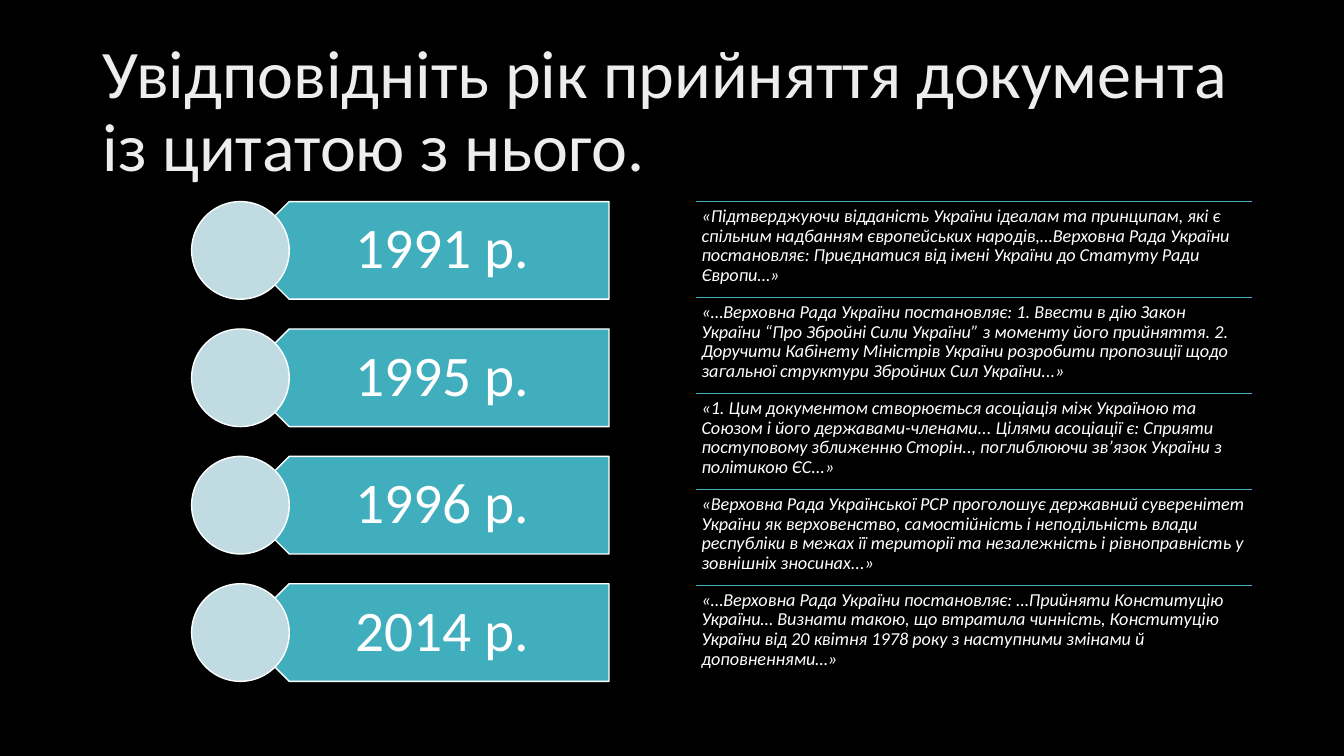
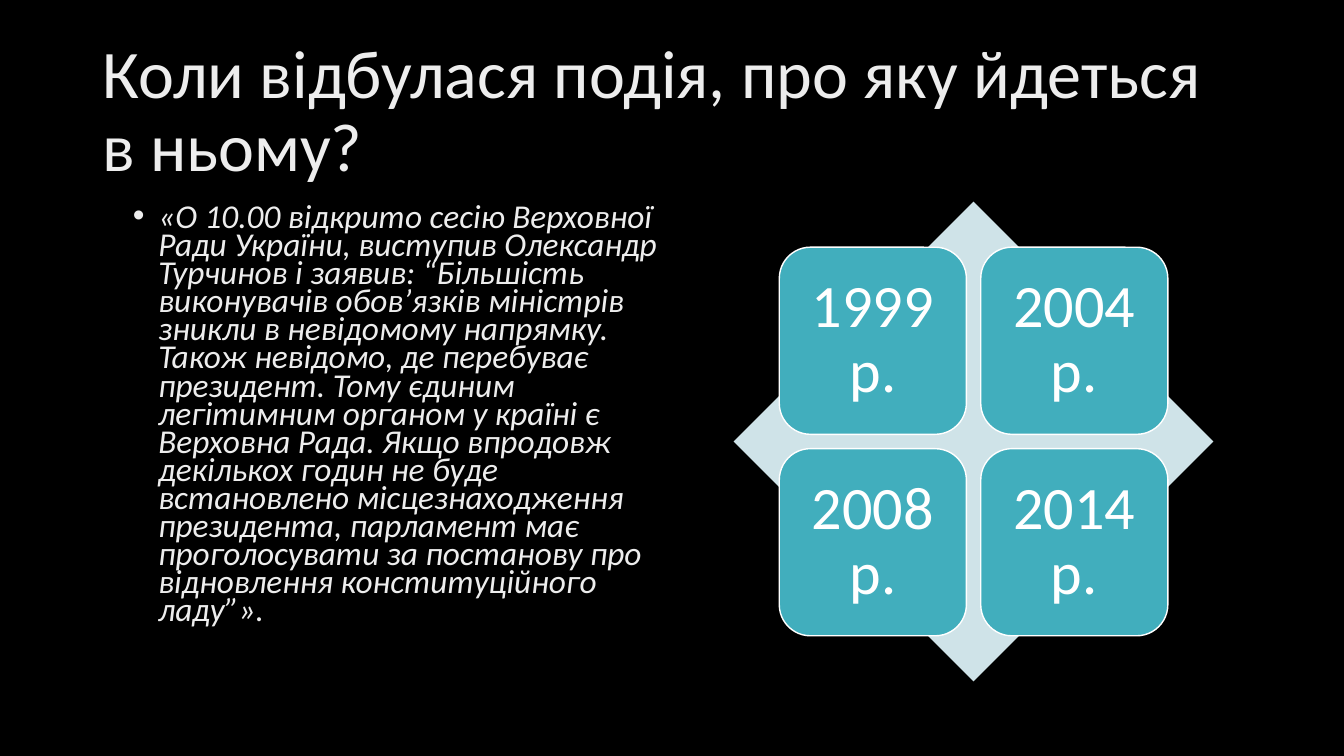
from pptx import Presentation
from pptx.dml.color import RGBColor
from pptx.enum.shapes import MSO_CONNECTOR, MSO_SHAPE
from pptx.enum.text import MSO_ANCHOR, MSO_AUTO_SIZE, PP_ALIGN
from pptx.oxml.ns import qn
from pptx.util import Cm, Pt
from lxml.etree import SubElement

BLACK, WHITE, SOFT = "000000", "FFFFFF", "EDEDED"
TEAL, PALE, MIST = "41AEBD", "C0DBE1", "CFE3E8"
FACE = "Calibri"
HEAD = (2.33, 1.01, 29.21, 3.68)
TOP, TALL = 5.08, 12.09

YEARS = ["1991 р.", "1995 р.", "1996 р.", "2014 р."]
QUOTES = [
    "«Підтверджуючи відданість України ідеалам та принципам, які є спільним "
    "надбанням європейських народів,…Верховна Рада України постановляє: "
    "Приєднатися від імені України до Статуту Ради Європи…»",
    "«…Верховна Рада України постановляє: 1. Ввести в дію Закон України “Про "
    "Збройні Сили України” з моменту його прийняття. 2. Доручити Кабінету "
    "Міністрів України розробити пропозиції щодо загальної структури Збройних "
    "Сил України...»",
    "«1. Цим документом створюється асоціація між Україною та Союзом і його "
    "державами-членами... Цілями асоціації є: Сприяти поступовому зближенню "
    "Сторін.., поглиблюючи зв’язок України з політикою ЄС...»",
    "«Верховна Рада Української РСР проголошує державний суверенітет України "
    "як верховенство, самостійність і неподільність влади республіки в межах "
    "її території та незалежність і рівноправність у зовнішніх зносинах...»",
    "«…Верховна Рада України постановляє: …Прийняти Конституцію України… "
    "Визнати такою, що втратила чинність, Конституцію України від 20 квітня "
    "1978 року з наступними змінами й доповненнями…»",
]
STORY = (
    "«О 10.00 відкрито сесію Верховної Ради України, виступив Олександр "
    "Турчинов і заявив: “Більшість виконувачів обов’язків міністрів зникли в "
    "невідомому напрямку. Також невідомо, де перебуває президент. Тому єдиним "
    "легітимним органом у країні є Верховна Рада. Якщо впродовж декількох "
    "годин не буде встановлено місцезнаходження президента, парламент має "
    "проголосувати за постанову про відновлення конституційного ладу”»."
)
DATES = ["1999 р.", "2004 р.", "2008 р.", "2014 р."]


def tint(code):
    """Turn a hex string into a colour."""
    return RGBColor.from_string(code)


def apply(item, values):
    """Set each named value on an object."""
    for name, value in values.items():
        setattr(item, name, value)


def place(box):
    """Turn a box in centimetres into lengths."""
    return [Cm(size) for size in box]


def write(shape, text, size, color=WHITE, space=0.9, italic=False,
          align=PP_ALIGN.LEFT, anchor=MSO_ANCHOR.TOP, pads=None, dot=False):
    """Fill a shape with one formatted paragraph."""
    frame = shape.text_frame
    apply(frame, {"word_wrap": True, "auto_size": MSO_AUTO_SIZE.NONE,
                  "vertical_anchor": anchor})
    if pads:
        sides = ("margin_left", "margin_top", "margin_right", "margin_bottom")
        apply(frame, dict(zip(sides, place(pads))))
    para = frame.paragraphs[0]
    para.text = text
    if dot:
        props = para._p.get_or_add_pPr()
        apply_xml = {"marL": str(Cm(0.64)), "indent": str(-Cm(0.64))}
        props.attrib.update(apply_xml)
        SubElement(props, qn("a:buFont")).set("typeface", "Arial")
        SubElement(props, qn("a:buChar")).set("char", "•")
    apply(para, {"alignment": align, "line_spacing": space})
    apply(para.font, {"size": Pt(size), "name": FACE, "italic": italic})
    para.font.color.rgb = tint(color)


def draw(slide, kind, box, fill, edge=WHITE):
    """Add a flat preset shape."""
    shape = slide.shapes.add_shape(kind, *place(box))
    shape.shadow.inherit = False
    shape.fill.solid()
    shape.fill.fore_color.rgb = tint(fill)
    if edge:
        shape.line.color.rgb = tint(edge)
        shape.line.width = Pt(1)
    else:
        shape.line.fill.background()
    return shape


def rule(slide, left, top, wide):
    """Add a thin level line."""
    line = slide.shapes.add_connector(
        MSO_CONNECTOR.STRAIGHT, *place((left, top, left + wide, top)))
    line.line.color.rgb = tint(TEAL)
    line.line.width = Pt(1)
    SubElement(line.element.spPr, qn("a:effectLst"))


def start(deck, title):
    """Add a slide with a styled title."""
    slide = deck.slides.add_slide(deck.slide_layouts[5])
    head = slide.shapes.title
    apply(head, dict(zip(("left", "top", "width", "height"), place(HEAD))))
    write(head, title, 48.6, SOFT, anchor=MSO_ANCHOR.MIDDLE)
    return slide


def list_years(slide, box, years):
    """Stack year bars, each with a disc on its point."""
    left, top, wide, tall = box
    disc = 2.46
    step = (tall - disc) / (len(years) - 1)
    for row, year in enumerate(years):
        y = top + row * step
        bar = draw(slide, MSO_SHAPE.PENTAGON,
                   (left + disc / 2, y, wide - disc / 2, disc), TEAL)
        bar.element.spPr.get_or_add_xfrm().set("flipH", "1")
        write(bar, year, 41, align=PP_ALIGN.CENTER,
              anchor=MSO_ANCHOR.MIDDLE, pads=(1.09, 0.43, 0.81, 0.43))
        draw(slide, MSO_SHAPE.OVAL, (left, y, disc, disc), PALE)


def list_quotes(slide, box, quotes):
    """Stack quotes in equal rows under thin lines."""
    left, top, wide, tall = box
    step = tall / len(quotes)
    for row, quote in enumerate(quotes):
        y = top + row * step
        rule(slide, left, y, wide)
        cell = slide.shapes.add_textbox(*place((left, y, wide, step)))
        write(cell, quote, 13, italic=True, pads=(0.13,) * 4)


def tell(slide, box, text):
    """Add the bulleted story."""
    body = slide.shapes.add_textbox(*place(box))
    write(body, text, 23.8, SOFT, space=0.7, italic=True, dot=True)


def grid_dates(slide, box, dates):
    """Set four date tiles over a diamond."""
    left, top, side, _ = box
    draw(slide, MSO_SHAPE.DIAMOND, box, MIST, edge=None)
    edge, size, step = side * 0.095, side * 0.39, side * 0.42
    for spot, date in enumerate(dates):
        row, col = divmod(spot, 2)
        tile = draw(slide, MSO_SHAPE.ROUNDED_RECTANGLE,
                    (left + edge + col * step, top + edge + row * step,
                     size, size), TEAL)
        write(tile, date, 43, align=PP_ALIGN.CENTER,
              anchor=MSO_ANCHOR.MIDDLE, pads=(0.46,) * 4)


def main():
    """Build and save the deck."""
    deck = Presentation()
    apply(deck, {"slide_width": Cm(33.87), "slide_height": Cm(19.05)})
    back = deck.slide_master.background.fill
    back.solid()
    back.fore_color.rgb = tint(BLACK)

    match = start(deck, "Увідповідніть рік прийняття документа із цитатою з нього.")
    list_years(match, (4.83, TOP, 10.52, TALL), YEARS)
    list_quotes(match, (17.55, TOP, 13.99, TALL), QUOTES)

    event = start(deck, "Коли відбулася подія, про яку йдеться в ньому?")
    tell(event, (3.1, TOP, 13.97, TALL), STORY)
    grid_dates(event, (18.49, TOP, TALL, TALL), DATES)

    deck.save("out.pptx")


if __name__ == "__main__":
    main()
